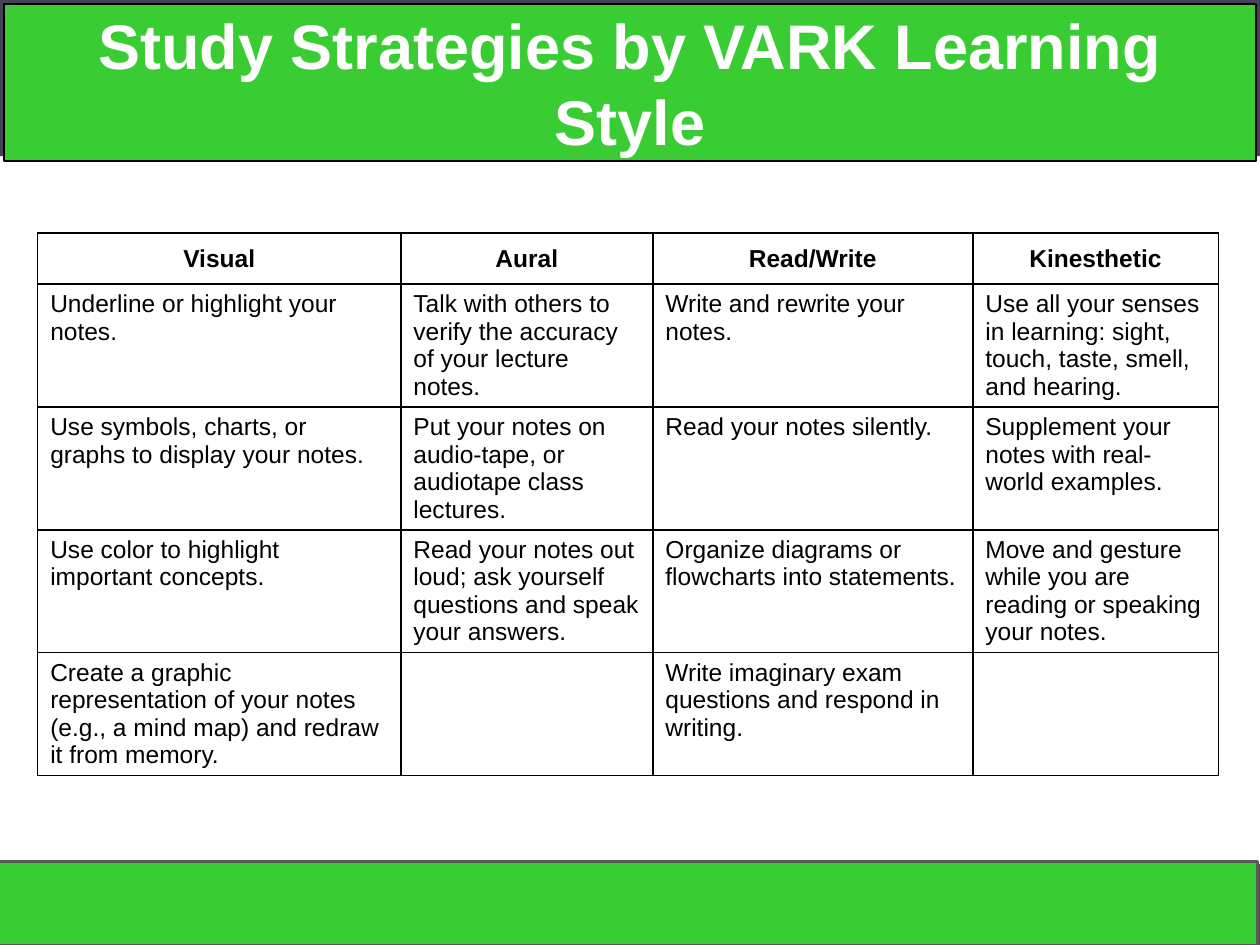
from dataclasses import dataclass

from lxml.etree import SubElement
from pptx import Presentation
from pptx.dml.color import RGBColor
from pptx.enum.shapes import MSO_SHAPE
from pptx.enum.text import MSO_ANCHOR, PP_ALIGN
from pptx.oxml.ns import qn
from pptx.util import Cm, Pt


@dataclass(frozen=True)
class Theme:
    """Colours, type sizes and line widths of the slide."""

    font: str = "Arial"
    green: str = "39CC33"
    slate: str = "424456"
    grey: str = "595959"
    black: str = "000000"
    white: str = "FFFFFF"
    title_size: int = 36
    table_size: int = 14
    outline: float = 1.5
    rule: int = 1


THEME = Theme()
TITLE = "Study Strategies by VARK Learning Style"
COLUMN_WIDTHS = (7.32, 5.08, 6.45, 4.95)
HEADER_HEIGHT = 1.03
ROWS = (
    ("Visual", "Aural", "Read/Write", "Kinesthetic"),
    (
        "Underline or highlight your notes.",
        "Talk with others to verify the accuracy of your lecture notes.",
        "Write and rewrite your notes.",
        "Use all your senses in learning: sight, touch, taste, smell, and hearing.",
    ),
    (
        "Use symbols, charts, or graphs to display your notes.",
        "Put your notes on audio-tape, or audiotape class lectures.",
        "Read your notes silently.",
        "Supplement your notes with real-world examples.",
    ),
    (
        "Use color to highlight important concepts.",
        "Read your notes out loud; ask yourself questions and speak your answers.",
        "Organize diagrams or flowcharts into statements.",
        "Move and gesture while you are reading or speaking your notes.",
    ),
    (
        "Create a graphic representation of your notes (e.g., a mind map) and redraw it from memory.",
        "",
        "Write imaginary exam questions and respond in writing.",
        "",
    ),
)


def add_band(page, box, fill, line=None):
    """Draw a flat rectangle in the box, outlined if a line colour is given."""
    band = page.shapes.add_shape(MSO_SHAPE.RECTANGLE, *map(Cm, box))
    band.shadow.inherit = False
    band.fill.solid()
    band.fill.fore_color.rgb = RGBColor.from_string(fill)
    if line:
        band.line.color.rgb = RGBColor.from_string(line)
        band.line.width = Pt(THEME.outline)
    else:
        band.line.fill.background()
    return band


def write_text(frame, text, size, color, bold, align):
    """Put one formatted paragraph into a text frame."""
    frame.text = text
    frame.word_wrap = True
    para = frame.paragraphs[0]
    para.alignment = align
    for span in para.runs:
        span.font.name = THEME.font
        span.font.size = Pt(size)
        span.font.bold = bold
        span.font.color.rgb = RGBColor.from_string(color)


def add_header(page, box):
    """Draw the title banner over its slate backing."""
    left, top, width, height = box
    add_band(page, box, THEME.slate)
    banner = add_band(
        page, (left + 0.08, top + 0.08, width - 0.16, height + 0.02), THEME.green, THEME.black
    )
    banner.text_frame.vertical_anchor = MSO_ANCHOR.MIDDLE
    write_text(banner.text_frame, TITLE, THEME.title_size, THEME.white, True, PP_ALIGN.CENTER)


def add_footer(page, box):
    """Draw the green footer over its slate backing."""
    left, top, width, height = box
    add_band(page, (left + 0.03, top + 0.05, width + 0.02, height + 0.05), THEME.slate)
    add_band(page, box, THEME.green, THEME.grey)


def rule_cell(cell):
    """Give a cell a solid line on each side and no fill."""
    properties = cell._tc.get_or_add_tcPr()
    for side in ("a:lnL", "a:lnR", "a:lnT", "a:lnB"):
        line = SubElement(properties, qn(side), w=str(Pt(THEME.rule)))
        fill = SubElement(line, qn("a:solidFill"))
        SubElement(fill, qn("a:srgbClr"), val=THEME.black)
    cell.fill.background()


def add_strategy_table(page, box):
    """Draw the table of study strategies, with equal rows below its header."""
    height = box[3]
    table = page.shapes.add_table(len(ROWS), len(COLUMN_WIDTHS), *map(Cm, box)).table
    table.first_row = False
    table.horz_banding = False
    for column, width in zip(table.columns, COLUMN_WIDTHS):
        column.width = Cm(width)
    body_height = (height - HEADER_HEIGHT) / (len(ROWS) - 1)
    for index, (row, texts) in enumerate(zip(table.rows, ROWS)):
        is_header = index == 0
        row.height = Cm(HEADER_HEIGHT if is_header else body_height)
        align = PP_ALIGN.CENTER if is_header else PP_ALIGN.LEFT
        for cell, text in zip(row.cells, texts):
            rule_cell(cell)
            cell.vertical_anchor = MSO_ANCHOR.MIDDLE if is_header else MSO_ANCHOR.TOP
            write_text(cell.text_frame, text, THEME.table_size, THEME.black, is_header, align)


def main():
    """Build the slide and save the deck."""
    deck = Presentation()
    deck.slide_width, deck.slide_height = Cm(25.4), Cm(19.05)
    page = deck.slides.add_slide(deck.slide_layouts[6])
    add_header(page, (0, 0, 25.4, 3.15))
    add_strategy_table(page, (0.76, 4.7, sum(COLUMN_WIDTHS), 10.92))
    add_footer(page, (-0.05, 17.37, 25.4, 1.68))
    deck.save("out.pptx")


if __name__ == "__main__":
    main()
